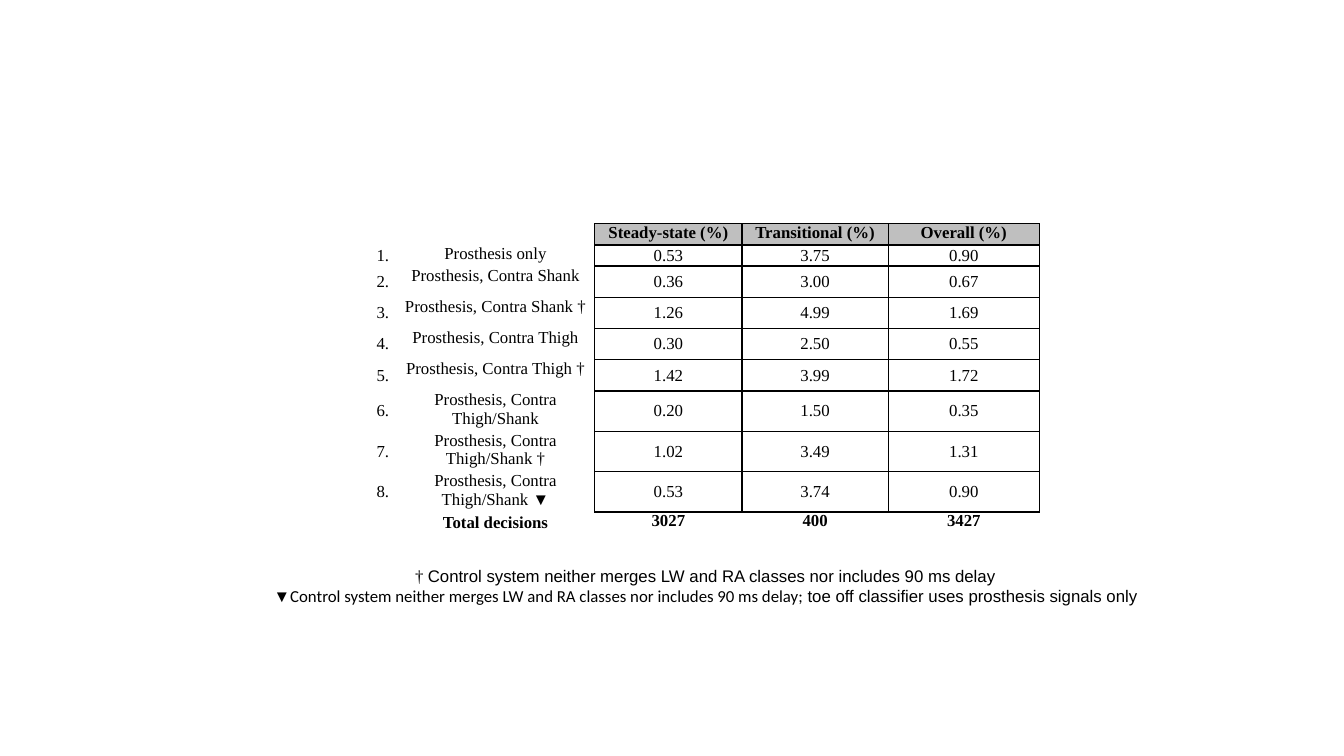
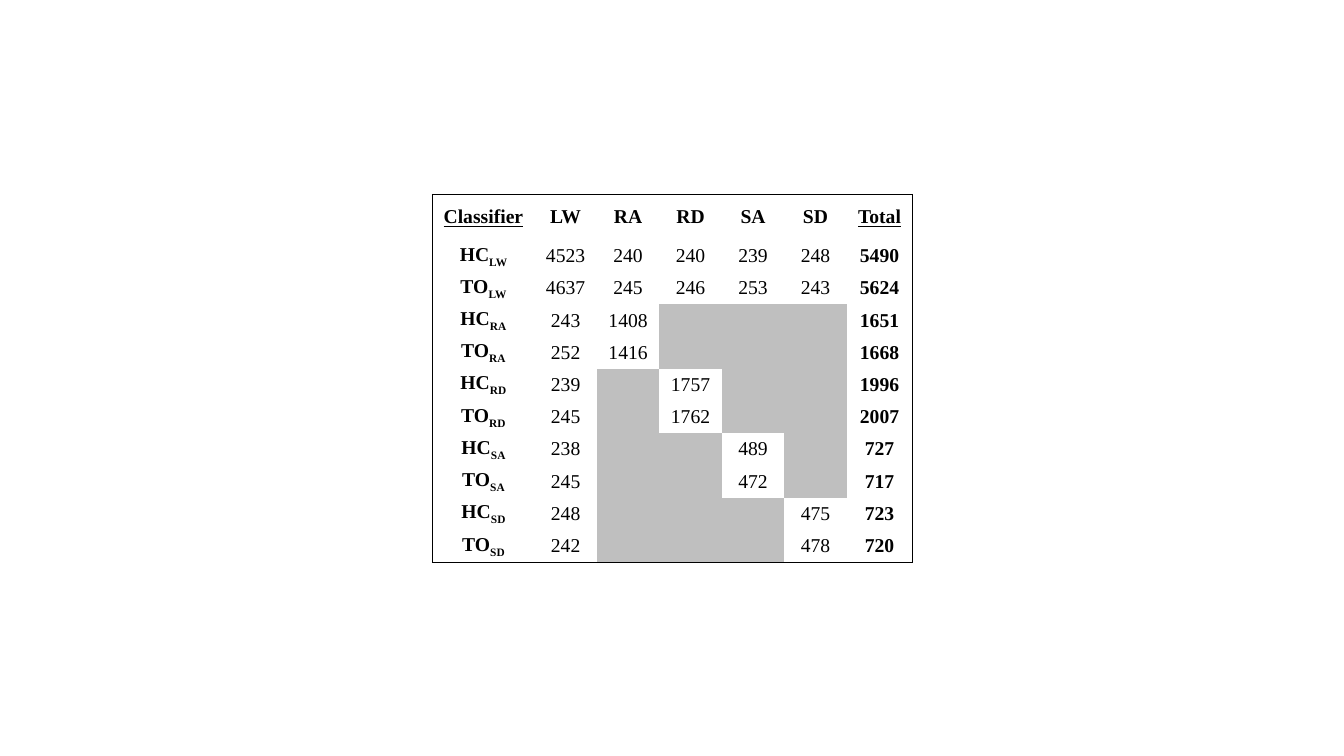
from lxml import etree
from pptx import Presentation
from pptx.dml.color import RGBColor
from pptx.enum.text import MSO_ANCHOR, PP_ALIGN
from pptx.oxml.ns import qn
from pptx.util import Inches, Pt

TOP, MIDDLE = MSO_ANCHOR.TOP, MSO_ANCHOR.MIDDLE
CENTER, RIGHT = PP_ALIGN.CENTER, PP_ALIGN.RIGHT

SERIF, SANS, BODY = "Times New Roman", "Arial", "Calibri"
BLACK, GRAY = "000000", "BFBFBF"
PLAIN_TABLE_STYLE = "{2D5ABB26-0587-4C30-8999-92F81FD0307C}"

ERROR_HEADER = ["", "", "Steady-state (%)", "Transitional (%)", "Overall (%)"]
ERROR_RATES = [
    ["Prosthesis only", "0.53", "3.75", "0.90"],
    ["Prosthesis, Contra Shank", "0.36", "3.00", "0.67"],
    ["Prosthesis, Contra Shank †", "1.26", "4.99", "1.69"],
    ["Prosthesis, Contra Thigh", "0.30", "2.50", "0.55"],
    ["Prosthesis, Contra Thigh †", "1.42", "3.99", "1.72"],
    ["Prosthesis, Contra Thigh/Shank", "0.20", "1.50", "0.35"],
    ["Prosthesis, Contra Thigh/Shank †", "1.02", "3.49", "1.31"],
    ["Prosthesis, Contra Thigh/Shank ▼", "0.53", "3.74", "0.90"],
]
ERROR_TOTALS = ["", "Total decisions", "3027", "400", "3427"]

DELAY_REMARK = "Control system neither merges LW and RA classes nor includes 90 ms delay"
LEGEND = [
    [("† ", SERIF), (DELAY_REMARK, SANS)],
    [("▼", SERIF), (DELAY_REMARK + "; ", BODY),
     ("toe off classifier uses prosthesis signals only", SANS)],
]

# An underscore starts a subscript; an empty cell is an unused class.
CLASSIFIER_COUNTS = [
    ["Classifier", "LW", "RA", "RD", "SA", "SD", "Total"],
    ["HC_LW", "4523", "240", "240", "239", "248", "5490"],
    ["TO_LW", "4637", "245", "246", "253", "243", "5624"],
    ["HC_RA", "243", "1408", "", "", "", "1651"],
    ["TO_RA", "252", "1416", "", "", "", "1668"],
    ["HC_RD", "239", "", "1757", "", "", "1996"],
    ["TO_RD", "245", "", "1762", "", "", "2007"],
    ["HC_SA", "238", "", "", "489", "", "727"],
    ["TO_SA", "245", "", "", "472", "", "717"],
    ["HC_SD", "248", "", "", "", "475", "723"],
    ["TO_SD", "242", "", "", "", "478", "720"],
]


def color(value):
    return RGBColor.from_string(value)


def set_borders(cell, sides):
    """Draw a 1 pt line on each side named in a string such as "LRTB"."""
    properties = cell._tc.get_or_add_tcPr()
    position = 0
    for side in "LRTB":
        if side in sides:
            line = etree.Element(qn(f"a:ln{side}"), w=str(Pt(1)))
            fill = etree.SubElement(line, qn("a:solidFill"))
            etree.SubElement(fill, qn("a:srgbClr"), val=BLACK)
            properties.insert(position, line)
            position += 1


class Deck:
    """Holds the presentation, its text style and the current slide."""

    def __init__(self):
        self.presentation = Presentation()
        self.presentation.slide_width = Inches(13.33)
        self.presentation.slide_height = Inches(7.5)
        self.slide = None

    def add_slide(self):
        self.slide = self.presentation.slides.add_slide(self.presentation.slide_layouts[6])

    def style(self, paragraph, size, bold=False, underline=False, align=CENTER):
        paragraph.alignment = align
        font = paragraph.font
        font.name, font.size = SERIF, Pt(size)
        font.bold, font.underline = bold, underline
        font.color.rgb = color(BLACK)

    def table(self, left, top, widths, heights):
        frame = self.slide.shapes.add_table(
            len(heights), len(widths), Inches(left), Inches(top),
            Inches(sum(widths)), Inches(sum(heights)))
        table = frame.table
        table.first_row = table.horz_banding = False
        table._tbl.tblPr.find(qn("a:tableStyleId")).text = PLAIN_TABLE_STYLE
        for column, width in zip(table.columns, widths):
            column.width = Inches(width)
        for row, height in zip(table.rows, heights):
            row.height = Inches(height)
        return table

    def cell(self, cell, text, size, margin, fill=None, borders="", anchor=MIDDLE, **font):
        cell.margin_left = cell.margin_right = Inches(margin)
        cell.margin_top = cell.margin_bottom = 0
        cell.vertical_anchor = anchor
        if fill:
            cell.fill.solid()
            cell.fill.fore_color.rgb = color(fill)
        else:
            cell.fill.background()
        set_borders(cell, borders)
        paragraph = cell.text_frame.paragraphs[0]
        self.style(paragraph, size, **font)
        base, _, subscript = text.partition("_")
        if base:
            paragraph.add_run().text = base
        else:
            # An empty cell keeps its row low only with an explicit text size.
            etree.SubElement(paragraph._p, qn("a:endParaRPr"), sz=str(size * 100))
        if subscript:
            run = paragraph.add_run()
            run.text = subscript
            run._r.get_or_add_rPr().set("baseline", "-25000")

    def text_box(self, left, top, width, height, lines, size):
        """Add centred lines, each a list of (text, font name) pairs."""
        box = self.slide.shapes.add_textbox(
            Inches(left), Inches(top), Inches(width), Inches(height))
        frame = box.text_frame
        frame.word_wrap = False
        frame.vertical_anchor = MIDDLE
        for index, line in enumerate(lines):
            paragraph = frame.add_paragraph() if index else frame.paragraphs[0]
            self.style(paragraph, size)
            for text, font_name in line:
                run = paragraph.add_run()
                run.text = text
                run.font.name = font_name


def error_rate_slide(deck):
    deck.add_slide()
    numbered = [[f"{number}.", *row] for number, row in enumerate(ERROR_RATES, 1)]
    rows = [ERROR_HEADER, *numbered, ERROR_TOTALS]
    heights = [0.21] * 2 + [0.31] * 4 + [0.4] * 3 + [0.21]
    table = deck.table(3.02, 2.22, [0.91, 1.97, 1.46, 1.45, 1.5], heights)
    last = len(rows) - 1
    for r, row in enumerate(rows):
        header, total = r == 0, r == last
        for c, text in enumerate(row):
            value = c >= 2
            if total:
                borders = "T" if value else ""
            else:
                borders = "LRTB" if value else "R" if c == 1 else ""
            at_top = value if header or total else c == 1
            deck.cell(table.cell(r, c), text, 12, 0.07,
                      fill=GRAY if header and value else None, borders=borders,
                      anchor=TOP if at_top else MIDDLE,
                      bold=header or total, align=CENTER if c else RIGHT)
    deck.text_box(2.57, 5.56, 8.86, 0.5, LEGEND, 12)


def classifier_slide(deck):
    deck.add_slide()
    rows = CLASSIFIER_COUNTS
    last_row, last_column = len(rows) - 1, len(rows[0]) - 1
    table = deck.table(4.29, 1.93, [1.01] + [0.62] * 5 + [0.65], [0.45] + [0.32] * last_row)
    for r, row in enumerate(rows):
        for c, text in enumerate(row):
            edges = {"L": c == 0, "R": c == last_column, "T": r == 0, "B": r == last_row}
            outer_column = c in (0, last_column)
            deck.cell(table.cell(r, c), text, 14, 0.08,
                      fill=None if text else GRAY,
                      borders="".join(side for side, on_edge in edges.items() if on_edge),
                      bold=r == 0 or outer_column, underline=r == 0 and outer_column)


def main():
    deck = Deck()
    error_rate_slide(deck)
    classifier_slide(deck)
    deck.presentation.save("out.pptx")


if __name__ == "__main__":
    main()
